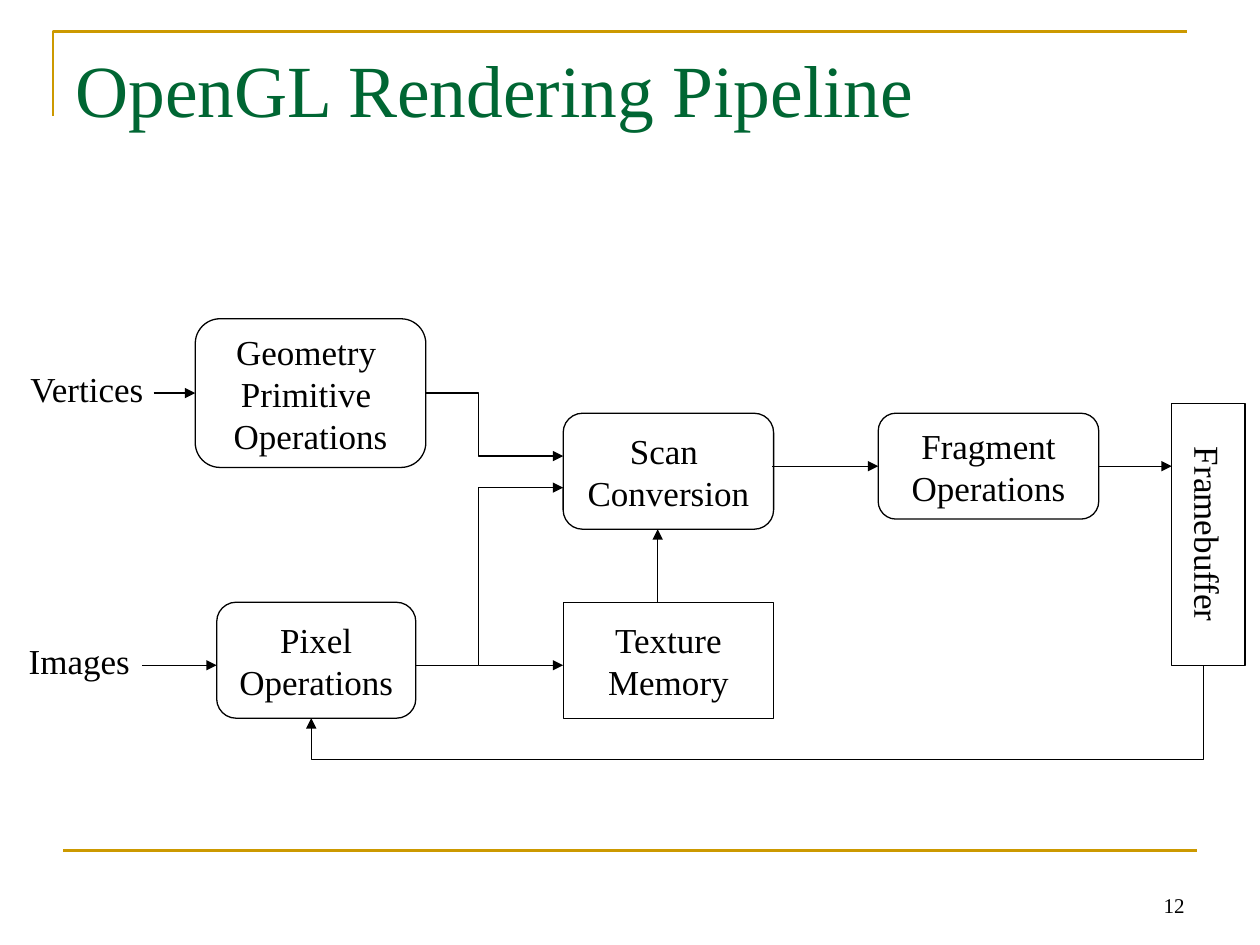
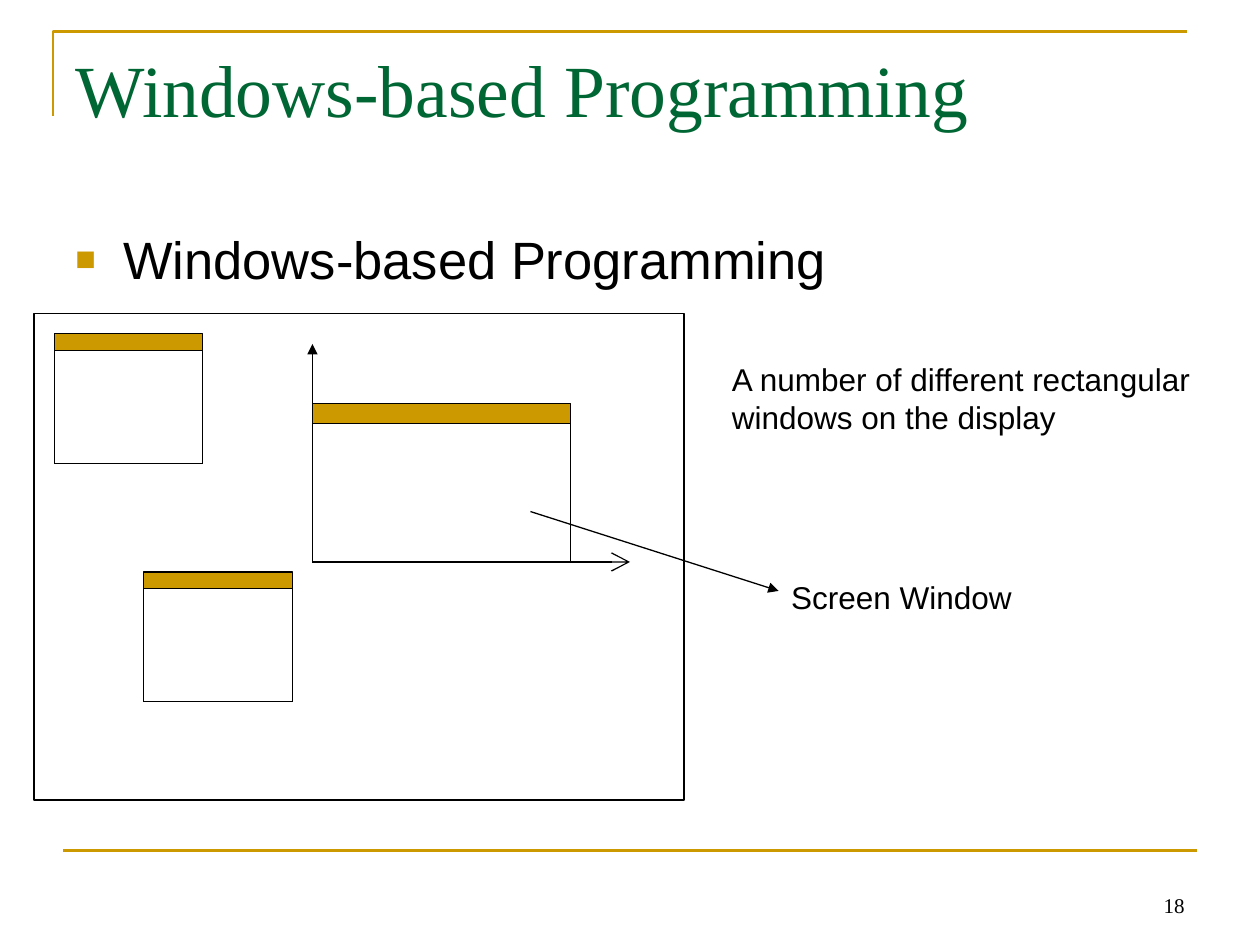
"""Builds two slides: the OpenGL rendering pipeline and windows-based programming."""
from dataclasses import dataclass

from lxml.etree import SubElement
from pptx import Presentation
from pptx.dml.color import RGBColor
from pptx.enum.shapes import MSO_CONNECTOR, MSO_SHAPE
from pptx.enum.text import MSO_ANCHOR as Anchor, MSO_AUTO_SIZE as AutoSize, PP_ALIGN as Align
from pptx.oxml.ns import qn
from pptx.util import Inches, Pt


@dataclass(frozen=True)
class Theme:
    gold: RGBColor = RGBColor(0xCC, 0x99, 0x00)
    green: RGBColor = RGBColor(0x00, 0x66, 0x33)
    black: RGBColor = RGBColor(0, 0, 0)
    serif: str = "Times New Roman"
    sans: str = "Arial"
    title: int = 42
    bullet: int = 30
    stage: int = 20
    note: int = 18
    number: int = 12
    thin: float = 0.75
    frame: float = 1.5


theme = Theme()


def write(shape, text, size, font=theme.serif, color=theme.black,
          align=Align.LEFT, anchor=Anchor.TOP, wrap=False):
    frame = shape.text_frame
    frame.text = text
    frame.word_wrap = wrap
    frame.auto_size = AutoSize.NONE
    frame.vertical_anchor = anchor
    for para in frame.paragraphs:
        para.alignment = align
        for span in para.runs:
            span.font.size = Pt(size)
            span.font.name = font
            span.font.color.rgb = color


def draw_line(page, points, head=None, color=theme.black, width=theme.thin, head_size="med"):
    corners = [(Inches(x), Inches(y)) for x, y in points]
    if len(corners) == 2:
        line = page.shapes.add_connector(MSO_CONNECTOR.STRAIGHT, *corners[0], *corners[1])
    else:
        builder = page.shapes.build_freeform(*corners[0])
        builder.add_line_segments(corners[1:], close=False)
        line = builder.convert_to_shape()
        line.fill.background()
    line.line.color.rgb = color
    line.line.width = Pt(width)
    properties = line._element.spPr
    if head:
        SubElement(properties.find(qn("a:ln")), qn("a:tailEnd"),
                   type=head, w=head_size, len=head_size)
    SubElement(properties, qn("a:effectLst"))
    return line


deck = Presentation()
deck.slide_width, deck.slide_height = Inches(10), Inches(7.5)

pages = []
for title, number in (("OpenGL Rendering Pipeline", "12"), ("Windows-based Programming", "18")):
    page = deck.slides.add_slide(deck.slide_layouts[5])
    draw_line(page, [(0.42, 0.92), (0.42, 0.25), (9.42, 0.25)], color=theme.gold, width=theme.frame)
    draw_line(page, [(0.5, 6.75), (9.5, 6.75)], color=theme.gold, width=theme.frame)
    heading = page.shapes.title
    heading.left, heading.top = Inches(0.5), Inches(0.3)
    heading.width, heading.height = Inches(9), Inches(1.25)
    write(heading, title, theme.title, color=theme.green, wrap=True)
    box = page.shapes.add_textbox(Inches(7.17), Inches(6.83), Inches(2.33), Inches(0.5))
    write(box, number, theme.number, align=Align.RIGHT, anchor=Anchor.BOTTOM, wrap=True)
    pages.append(page)

pipeline, windows = pages

stages = {}
for text, left, top, width, height, kind, turn in (
    ("Geometry \nPrimitive \nOperations", 1.55, 2.53, 1.83, 1.18, MSO_SHAPE.ROUNDED_RECTANGLE, 0),
    ("Pixel\nOperations", 1.72, 4.78, 1.58, 0.92, MSO_SHAPE.ROUNDED_RECTANGLE, 0),
    ("Scan \nConversion", 4.47, 3.28, 1.67, 0.92, MSO_SHAPE.ROUNDED_RECTANGLE, 0),
    ("Texture\nMemory", 4.47, 4.78, 1.67, 0.92, MSO_SHAPE.RECTANGLE, 0),
    ("Fragment\nOperations", 6.97, 3.28, 1.75, 0.84, MSO_SHAPE.ROUNDED_RECTANGLE, 0),
    ("Framebuffer", 8.55, 3.95, 2.08, 0.58, MSO_SHAPE.RECTANGLE, 90),
):
    stage = pipeline.shapes.add_shape(kind, Inches(left), Inches(top), Inches(width), Inches(height))
    stage.shadow.inherit = False
    stage.fill.background()
    stage.line.color.rgb = theme.black
    stage.line.width = Pt(theme.thin)
    stage.rotation = turn
    write(stage, text, theme.stage, align=Align.CENTER, anchor=Anchor.MIDDLE)
    stages[text.split()[0]] = stage

for text, top, width in (("Vertices", 2.87, 1.22), ("Images", 5.03, 1.1)):
    box = pipeline.shapes.add_textbox(Inches(0.08), Inches(top), Inches(width), Inches(0.44))
    write(box, text, theme.stage, align=Align.CENTER)

vertices_in = draw_line(pipeline, [(1.22, 3.12), (1.55, 3.12)], "triangle")
vertices_in.end_connect(stages["Geometry"], 1)
scan_out = draw_line(pipeline, [(6.13, 3.7), (6.97, 3.7)], "triangle")
scan_out.end_connect(stages["Fragment"], 1)
fragment_out = draw_line(pipeline, [(8.72, 3.7), (9.3, 3.7)], "triangle")
fragment_out.begin_connect(stages["Fragment"], 3)
for route in (
    [(3.38, 3.12), (3.8, 3.12), (3.8, 3.62), (4.47, 3.62)],
    [(1.13, 5.28), (1.72, 5.28)],
    [(3.3, 5.28), (3.8, 5.28), (3.8, 3.87), (4.47, 3.87)],
    [(3.8, 5.28), (4.47, 5.28)],
    [(5.22, 4.78), (5.22, 4.2)],
    [(9.55, 5.28), (9.55, 6.03), (2.47, 6.03), (2.47, 5.7)],
):
    draw_line(pipeline, route, "triangle")

display = windows.shapes.add_shape(
    MSO_SHAPE.RECTANGLE, Inches(0.27), Inches(2.49), Inches(5.16), Inches(3.86))
display.shadow.inherit = False
display.fill.background()
display.line.color.rgb = theme.black
display.line.width = Pt(theme.thin)

for left, top, width, bar, bottom, x_end, y_end, x_head, y_head in (
    (0.43, 2.65, 1.18, 0.13, 3.68, 1.61, 2.65, None, None),
    (2.48, 3.2, 2.05, 0.16, 4.46, 5, 2.73, "arrow", "triangle"),
    (1.14, 4.54, 1.18, 0.13, 5.57, 2.32, 4.54, None, None),
):
    right = left + width
    draw_line(windows, [(left, bottom), (x_end, bottom)], x_head, head_size="lg")
    draw_line(windows, [(left, bottom), (left, y_end)], y_head)
    title_bar = windows.shapes.add_shape(
        MSO_SHAPE.RECTANGLE, Inches(left), Inches(top), Inches(width), Inches(bar))
    title_bar.shadow.inherit = False
    title_bar.fill.solid()
    title_bar.fill.fore_color.rgb = theme.gold
    title_bar.line.color.rgb = theme.black
    title_bar.line.width = Pt(theme.thin)
    draw_line(windows, [(right, top + bar), (right, bottom)])

body = windows.shapes.add_textbox(Inches(0.5), Inches(1.75), Inches(9), Inches(4.95))
write(body, "Windows-based Programming", theme.bullet, theme.sans, wrap=True)
bullet = body.text_frame.paragraphs[0]._p.get_or_add_pPr()
bullet.set("marL", str(Inches(0.38)))
bullet.set("indent", str(-Inches(0.38)))
SubElement(SubElement(bullet, qn("a:buClr")), qn("a:srgbClr"), val=str(theme.gold))
SubElement(bullet, qn("a:buSzPct"), val="65000")
SubElement(bullet, qn("a:buFont"), typeface=theme.sans)
SubElement(bullet, qn("a:buChar"), char="■")

for text, left, top, width, height in (
    ("A number of different rectangular\nwindows on the display", 5.71, 2.81, 3.92, 0.7),
    ("Screen Window", 6.18, 4.54, 1.95, 0.4),
):
    box = windows.shapes.add_textbox(Inches(left), Inches(top), Inches(width), Inches(height))
    write(box, text, theme.note, theme.sans)
draw_line(windows, [(4.21, 4.06), (6.18, 4.69)], "triangle")

deck.save("out.pptx")
